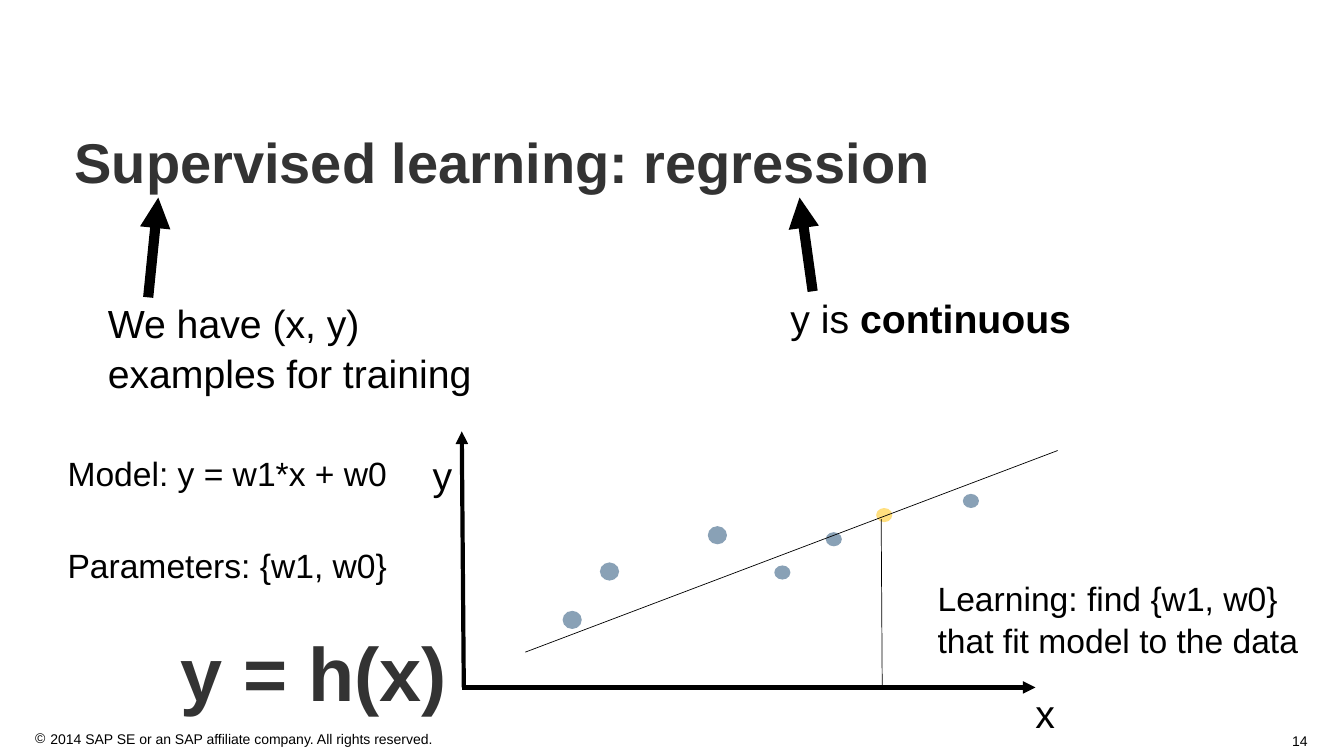
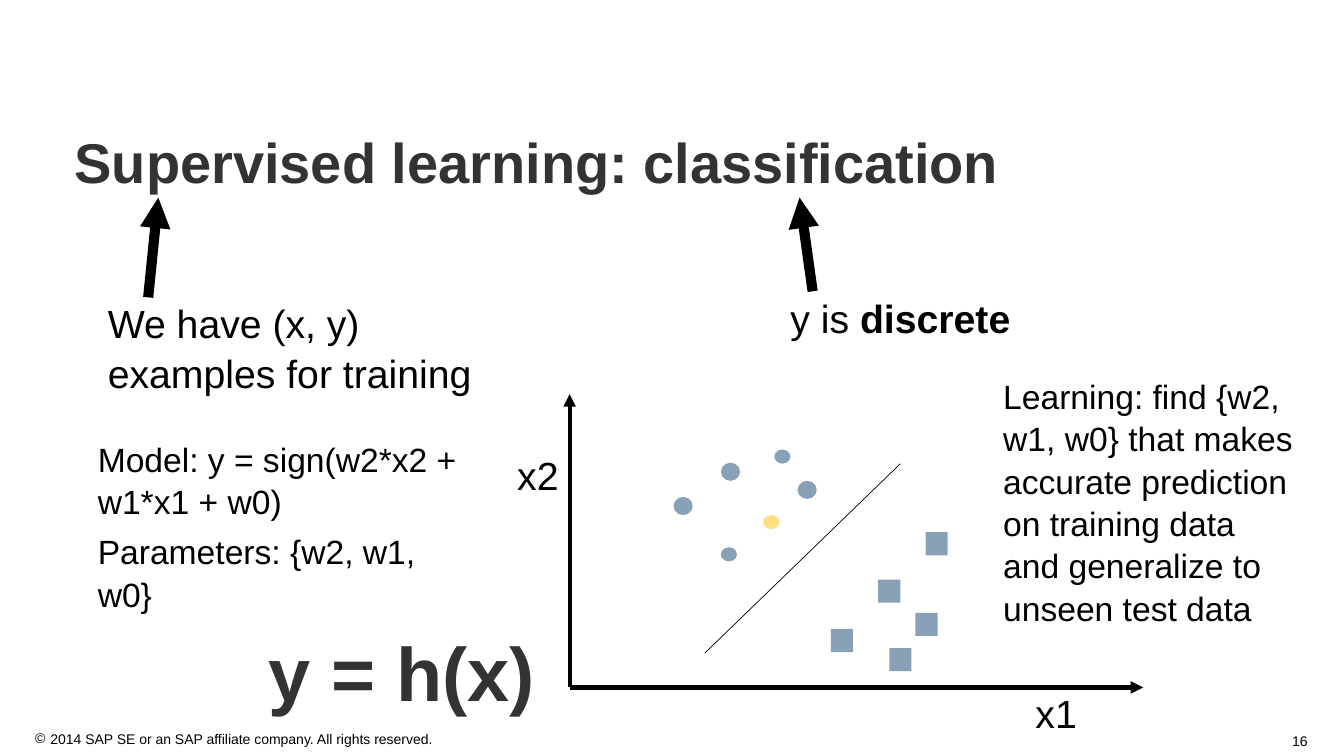
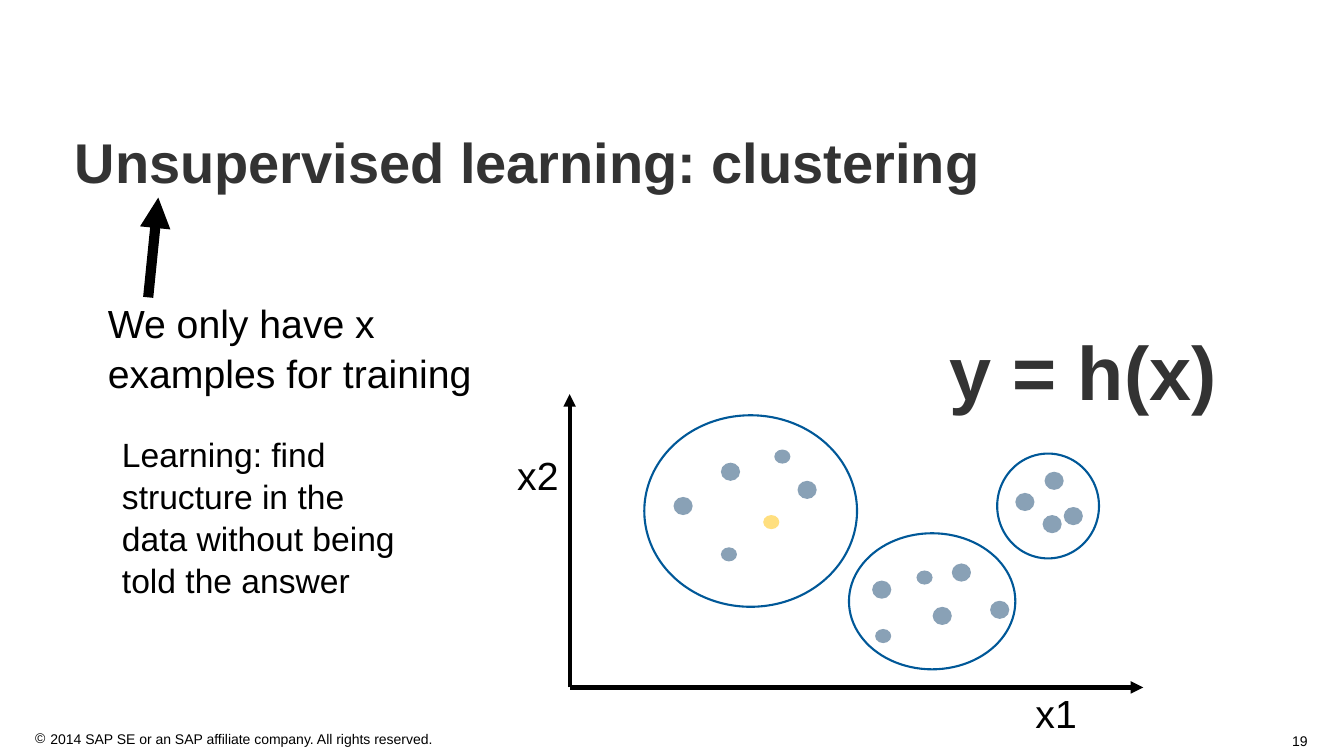
from dataclasses import dataclass

from lxml import etree
from pptx import Presentation
from pptx import util as u
from pptx.dml.color import RGBColor
from pptx.enum import shapes, text
from pptx.oxml import ns


@dataclass(frozen=True)
class Theme:
    font: str = "Arial"
    ink: str = "000000"
    heading: str = "333333"
    sample: str = "15446F"
    query: str = "FFC000"
    cluster: str = "005898"
    title_size: float = 40
    formula_size: float = 54
    label_size: float = 28
    body_size: float = 24
    footer_size: float = 10
    line_spacing: float = 1.05
    pointer: float = 7.25
    axis: float = 3
    outline: float = 1.5
    hairline: float = 0.5


theme = Theme()
presentation = Presentation()
presentation.slide_width, presentation.slide_height = u.Inches(13.33), u.Inches(7.5)
# All lengths below count square cells; the slide is 75 rows high.
CELL = presentation.slide_height // 75


def write(shape, box, content, size, color=theme.ink, bold=False, align="LEFT", wrap=True, inset=0):
    """Place a text shape and fill it; content is a list of runs, every second one bold."""
    for name, value in zip(("left", "top", "width", "height"), box):
        setattr(shape, name, round(value * CELL))
    frame = shape.text_frame
    settings = {"word_wrap": wrap, "auto_size": text.MSO_AUTO_SIZE.NONE,
                "vertical_anchor": text.MSO_ANCHOR.TOP}
    settings |= {f"margin_{side}": round(inset * factor * CELL)
                 for side, factor in (("left", 2), ("right", 2), ("top", 1), ("bottom", 1))}
    for name, value in settings.items():
        setattr(frame, name, value)
    paragraph = frame.paragraphs[0]
    paragraph.alignment = text.PP_ALIGN[align]
    paragraph.line_spacing = theme.line_spacing
    for index, words in enumerate(content):
        run = paragraph.add_run()
        run.text = words
        formats = {"name": theme.font, "size": u.Pt(size), "bold": bold or index % 2 == 1}
        for name, value in formats.items():
            setattr(run.font, name, value)
        run.font.color.rgb = RGBColor.from_string(color)
    return paragraph


def add_line(slide, start, end, weight, arrow=False):
    line = slide.shapes.add_connector(
        shapes.MSO_CONNECTOR.STRAIGHT, *(round(value * CELL) for value in (*start, *end)))
    line.line.color.rgb = RGBColor.from_string(theme.ink)
    line.line.width = u.Pt(weight)
    if arrow:
        etree.SubElement(line.line._get_or_add_ln(), ns.qn("a:tailEnd"), type="triangle")
    etree.SubElement(line._element.spPr, ns.qn("a:effectLst"))


# Marker kinds: preset shape, width, height, colour
MARKERS = {
    "large": (shapes.MSO_SHAPE.OVAL, 1.9, 1.8, theme.sample),
    "small": (shapes.MSO_SHAPE.OVAL, 1.6, 1.4, theme.sample),
    "square": (shapes.MSO_SHAPE.RECTANGLE, 2.2, 2.3, theme.sample),
    "query": (shapes.MSO_SHAPE.OVAL, 1.6, 1.4, theme.query),
}
COPYRIGHT = "2014 SAP SE or an SAP affiliate company. All rights reserved."
AXIS_ROW = 68.2
left_pointer = ((14.7, 29.5), (15.7, 19.6))
right_pointer = ((80.6, 28.9), (79.3, 19.6))
plane_axes = [((56.5, AXIS_ROW), (56.5, 39.1)), ((56.5, AXIS_ROW), (113.4, AXIS_ROW))]
plane_labels = [("x1", 102.7, AXIS_ROW), ("x2", 51.3, 44.5)]
first_group = {
    "large": [(66.8, 49.3), (79.1, 47.7), (71.5, 45.9)],
    "small": [(71.5, 54.3), (76.8, 44.6)],
    "query": [(75.7, 51.1)],
}

slides = [
    {
        "number": "14",
        "title": "Supervised learning: regression",
        "examples": "We have (x, y) examples for training",
        "target": "continuous",
        "pointers": [left_pointer, right_pointer],
        "axes": [((46, AXIS_ROW), (45.8, 42.8)), ((45.8, AXIS_ROW), (102.7, AXIS_ROW))],
        "labels": [("x", 102.7, AXIS_ROW), ("y", 42.9, 44.5)],
        "markers": {
            "large": [(59.5, 55.8), (55.8, 60.6), (70.2, 52.2)],
            "small": [(81.9, 52.8), (76.8, 56.1), (95.5, 49)],
            "query": [(86.9, 50.4)],
        },
        "thin_lines": [((87.4, 51.5), (87.5, AXIS_ROW)), ((104.9, 44.7), (52.1, 64.7))],
        "clusters": [],
        "notes": [
            ("Model: y = w1*x + w0", (6.7, 44.7, 37.3, 4)),
            ("Parameters: {w1, w0}", (6.7, 53.9, 37.3, 4)),
            ("Learning: find {w1, w0} that fit model to the data", (93, 57.1, 37.3, 8.1)),
        ],
        "formula": (16.8, 61.2),
    },
    {
        "number": "16",
        "title": "Supervised learning: classification",
        "examples": "We have (x, y) examples for training",
        "target": "discrete",
        "pointers": [left_pointer, right_pointer],
        "axes": plane_axes,
        "labels": plane_labels,
        "markers": first_group | {
            "square": [(91.8, 52.8), (87.1, 57.5), (88.2, 64.3), (90.8, 60.8), (82.4, 62.4)],
        },
        "thin_lines": [((89.3, 46), (69.9, 64.8))],
        "clusters": [],
        "notes": [
            ("Model: y = sign(w2*x2 + w1*x1 + w0)", (9.7, 43.3, 42.3, 8.1)),
            ("Parameters: {w2, w1, w0}", (9.7, 52.5, 37.3, 8.1)),
            ("Learning: find {w2, w1, w0} that makes accurate prediction on training data "
             "and generalize to unseen test data", (99.5, 37.1, 29.1, 24.2)),
        ],
        "formula": (25.5, 61.2),
    },
    {
        "number": "19",
        "title": "Unsupervised learning: clustering",
        "examples": "We only have x examples for training",
        "target": None,
        "pointers": [left_pointer],
        "axes": plane_axes,
        "labels": plane_labels,
        "markers": first_group | {
            "large": first_group["large"] + [
                (86.5, 57.6), (94.4, 55.9), (98.2, 59.6), (92.5, 60.2),
                (103.6, 46.8), (103.4, 51.1), (100.7, 48.9), (105.5, 50.3)],
            "small": first_group["small"] + [(86.8, 62.4), (90.9, 56.6)],
        },
        "thin_lines": [],
        "clusters": [(63.9, 41.2, 21.1, 19), (84.2, 52.9, 16.5, 13.5), (98.9, 45, 10.1, 10.4)],
        "notes": [("Learning: find structure in the data without being told the answer",
                   (12.1, 42.8, 29.1, 16.2))],
        "formula": (93.1, 31.3),
    },
]

for content in slides:
    slide = presentation.slides.add_slide(presentation.slide_layouts[5])
    write(slide.shapes.title, (7.4, 12.3, 118.8, 41.8), [content["title"]],
          theme.title_size, theme.heading, bold=True)

    for kind, places in content["markers"].items():
        preset, width, height, color = MARKERS[kind]
        for left, top in places:
            marker = slide.shapes.add_shape(
                preset, *(round(value * CELL) for value in (left, top, width, height)))
            marker.shadow.inherit = False
            marker.fill.solid()
            marker.fill.fore_color.rgb = RGBColor.from_string(color)
            marker.line.fill.background()
            for tint in marker._element.spPr.iter(ns.qn("a:srgbClr")):
                etree.SubElement(tint, ns.qn("a:alpha"), val="50000")

    for start, end in content["pointers"]:
        add_line(slide, start, end, theme.pointer, arrow=True)
    for start, end in content["axes"]:
        add_line(slide, start, end, theme.axis, arrow=True)
    for start, end in content["thin_lines"]:
        add_line(slide, start, end, theme.hairline)

    for box in content["clusters"]:
        cluster = slide.shapes.add_shape(
            shapes.MSO_SHAPE.OVAL, *(round(value * CELL) for value in box))
        cluster.shadow.inherit = False
        cluster.fill.background()
        cluster.line.color.rgb = RGBColor.from_string(theme.cluster)
        cluster.line.width = u.Pt(theme.outline)

    texts = [((10.7, 29.5, 38.3, 9.4), [content["examples"]], theme.label_size, {})]
    if content["target"]:
        texts.append(((78.4, 29, 29.8, 4.7), ["y is ", content["target"]], theme.label_size, {}))
    texts += [((left, top, 6.8, 4.7), [label], theme.label_size, {})
              for label, left, top in content["labels"]]
    texts += [(box, [note], theme.body_size, {}) for note, box in content["notes"]]
    texts.append(((*content["formula"], 28.7, 10.1), ["y = h(x)"], theme.formula_size,
                  {"color": theme.heading, "bold": True, "align": "CENTER",
                   "wrap": False, "inset": 0.5}))
    texts.append(((128, 72.6, 1.7, 1.7), [content["number"]], theme.footer_size,
                  {"align": "RIGHT", "wrap": False}))
    for box, runs, size, options in texts:
        write(slide.shapes.add_textbox(0, 0, 0, 0), box, runs, size, **options)

    footer = write(slide.shapes.add_textbox(0, 0, 0, 0), (3.5, 72.4, 41.3, 1.7),
                   [COPYRIGHT], theme.footer_size, wrap=False)
    properties = footer._p.get_or_add_pPr()
    indent = round(1.5 * CELL)
    properties.set("marL", str(indent))
    properties.set("indent", str(-indent))
    bullet_color = etree.SubElement(properties, ns.qn("a:buClr"))
    etree.SubElement(bullet_color, ns.qn("a:srgbClr"), val=theme.ink)
    etree.SubElement(properties, ns.qn("a:buFont"), typeface=theme.font)
    etree.SubElement(properties, ns.qn("a:buChar"), char="©")

presentation.save("out.pptx")
